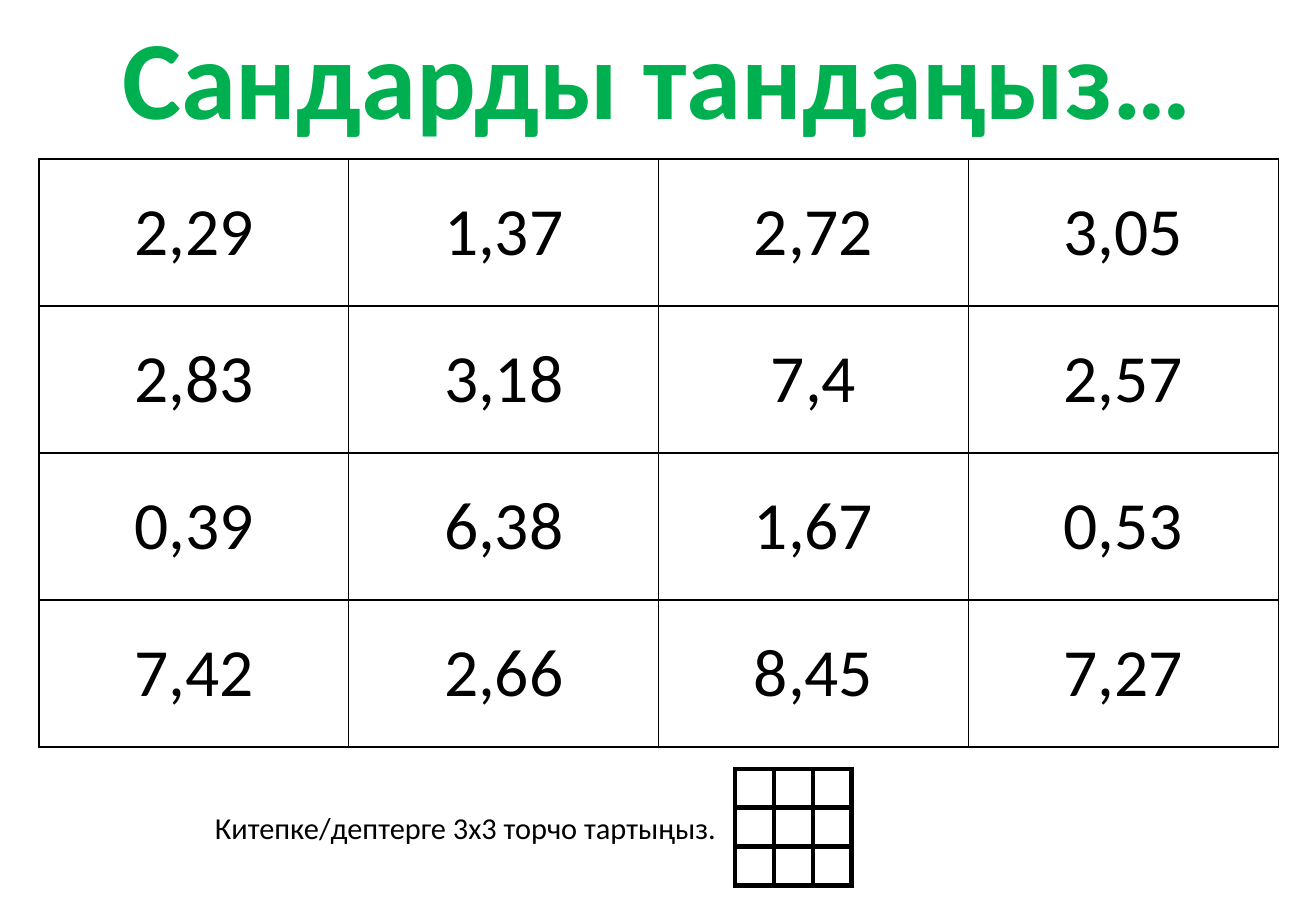
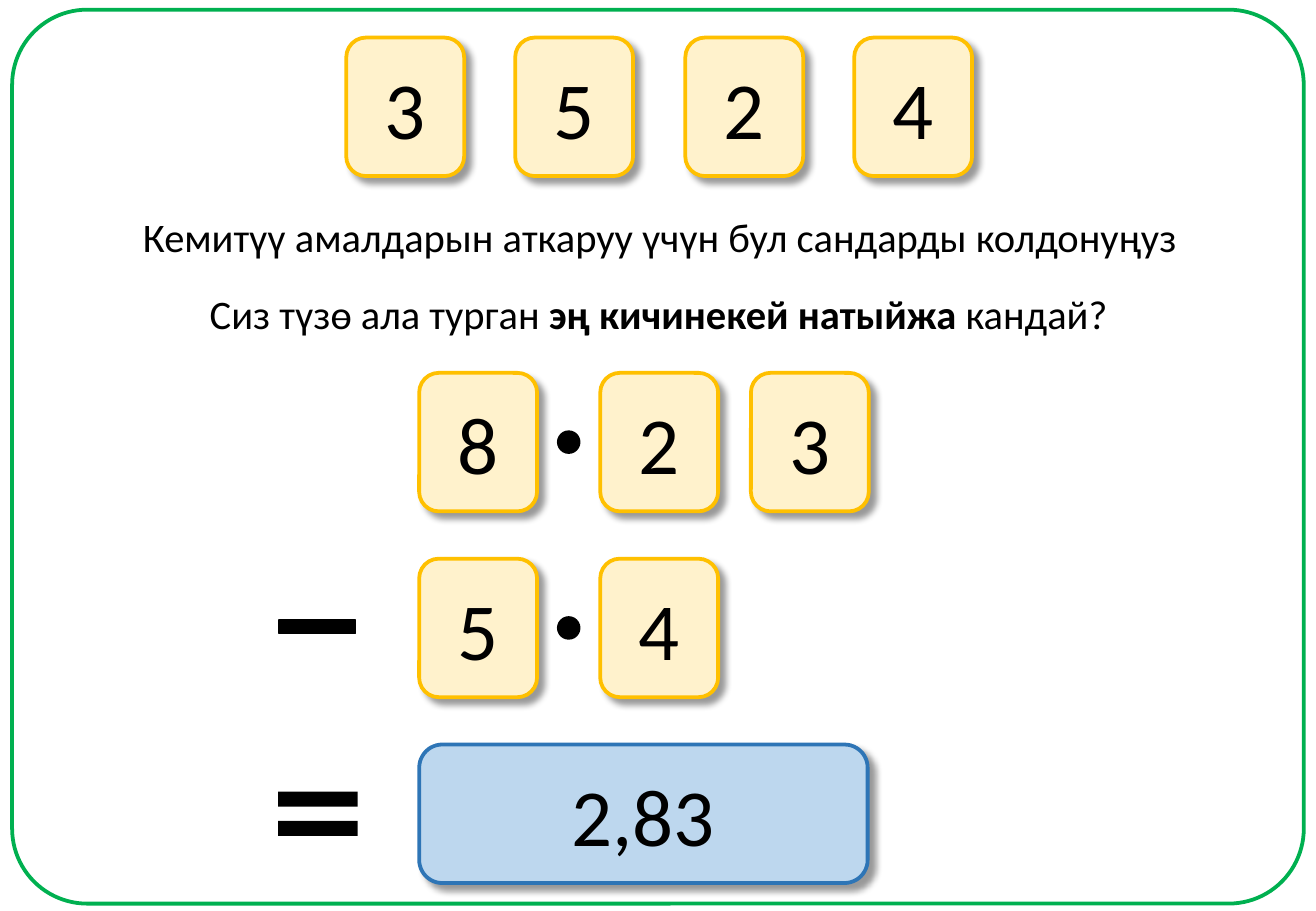
from lxml.etree import SubElement
from pptx import Presentation
from pptx.dml.color import RGBColor
from pptx.enum.shapes import MSO_SHAPE as Preset
from pptx.enum.text import MSO_ANCHOR as Anchor, MSO_AUTO_SIZE as AutoSize, PP_ALIGN as Align
from pptx.oxml.ns import qn
from pptx.util import Pt

EMU_PER_PX = 9144  # 100 px to the inch
FONT = "Calibri"
BLACK, WHITE, GREEN = "000000", "FFFFFF", "00B050"
CARD_COLORS = ("FFF2CC", "FFC000")
ANSWER_COLORS = ("BDD7EE", "2E75B6")
CARD_WIDTH, CARD_HEIGHT = 97, 114

NUMBERS = [
    ["2,29", "1,37", "2,72", "3,05"],
    ["2,83", "3,18", "7,4", "2,57"],
    ["0,39", "6,38", "1,67", "0,53"],
    ["7,42", "2,66", "8,45", "7,27"],
]


def px(*lengths):
    return [length * EMU_PER_PX for length in lengths]


def color(hex_string):
    return RGBColor.from_string(hex_string)


def add_run(paragraph, text, size, text_color=BLACK, bold=False):
    run = paragraph.add_run()
    run.text = text
    run.font.name = FONT
    run.font.size = Pt(size)
    run.font.bold = bold
    run.font.color.rgb = color(text_color)


def add_label(slide, box, runs, size, text_color=BLACK, align=Align.CENTER):
    """One line of text; runs are (text, bold) pairs."""
    frame = slide.shapes.add_textbox(*px(*box)).text_frame
    frame.word_wrap = False
    frame.auto_size = AutoSize.SHAPE_TO_FIT_TEXT
    paragraph = frame.paragraphs[0]
    paragraph.alignment = align
    for text, bold in runs:
        add_run(paragraph, text, size, text_color, bold)


def add_figure(slide, preset, box, fill=None, line=None, line_width=1, adjustments=()):
    shape = slide.shapes.add_shape(preset, *px(*box))
    shape.shadow.inherit = False
    for index, value in enumerate(adjustments):
        shape.adjustments[index] = value
    if fill:
        shape.fill.solid()
        shape.fill.fore_color.rgb = color(fill)
    else:
        shape.fill.background()
    if line:
        shape.line.color.rgb = color(line)
        shape.line.width = Pt(line_width)
    else:
        shape.line.fill.background()
    return shape


def add_drop_shadow(shape):
    effects = shape.element.spPr.find(qn("a:effectLst"))
    shadow = SubElement(effects, qn("a:outerShdw"), blurRad=str(Pt(4)), dist=str(Pt(5)),
                        dir=str(45 * 60000), algn="tl", rotWithShape="0")
    shadow_color = SubElement(shadow, qn("a:srgbClr"), val=BLACK)
    SubElement(shadow_color, qn("a:alpha"), val="40000")


def add_card(slide, left, top, text, width=CARD_WIDTH, colors=CARD_COLORS):
    box = (left, top, width, CARD_HEIGHT)
    card = add_figure(slide, Preset.ROUNDED_RECTANGLE, box, *colors, line_width=2.25)
    add_drop_shadow(card)
    frame = card.text_frame
    frame.word_wrap = True
    frame.vertical_anchor = Anchor.MIDDLE
    paragraph = frame.paragraphs[0]
    paragraph.alignment = Align.CENTER
    add_run(paragraph, text, 48)


def set_borders(cell, width):
    properties = cell._tc.get_or_add_tcPr()
    for side in ("lnL", "lnR", "lnT", "lnB"):
        border = SubElement(properties, qn("a:" + side), w=str(Pt(width)))
        fill = SubElement(border, qn("a:solidFill"))
        SubElement(fill, qn("a:srgbClr"), val=BLACK)


def add_grid(slide, left, top, cell_width, cell_height, rows, border):
    row_count, column_count = len(rows), len(rows[0])
    box = (left, top, cell_width * column_count, cell_height * row_count)
    table = slide.shapes.add_table(row_count, column_count, *px(*box)).table
    table.first_row = table.horz_banding = False
    for row, texts in enumerate(rows):
        for column, text in enumerate(texts):
            cell = table.cell(row, column)
            cell.margin_left = cell.margin_right = cell.margin_top = cell.margin_bottom = 0
            cell.vertical_anchor = Anchor.MIDDLE
            set_borders(cell, border)
            cell.fill.solid()
            cell.fill.fore_color.rgb = color(WHITE)
            if text:
                paragraph = cell.text_frame.paragraphs[0]
                paragraph.alignment = Align.CENTER
                add_run(paragraph, text, 40)


def build_number_slide(slide):
    add_grid(slide, 32, 131, 255, 121, NUMBERS, border=1)
    add_label(slide, (79, 2, 924, 121), [("Сандарды тандаңыз…", True)], 66, GREEN)
    # Instruction with a small empty grid
    add_grid(slide, 605, 633, 32, 32, [[""] * 3] * 3, border=3)
    add_label(slide, (167, 661, 438, 40),
              [("Китепке/дептерге 3х3 торчо тартыңыз.", False)], 18, align=Align.LEFT)


def build_subtraction_slide(slide):
    add_figure(slide, Preset.ROUNDED_RECTANGLE, (10, 8, 1063, 736),
               line=GREEN, line_width=2.25, adjustments=[0.084])

    # Digits to choose from
    for index, digit in enumerate("3524"):
        add_card(slide, 285 + round(index * 418 / 3), 31, digit)

    # Question
    add_label(slide, (103, 170, 880, 50),
              [("Кемитүү амалдарын аткаруу үчүн бул сандарды колдонуңуз", False)], 24)
    add_label(slide, (159, 233, 766, 50),
              [("Сиз түзө ала турган ", False), ("эң кичинекей натыйжа ", True),
               ("кандай?", False)], 24)

    # Subtraction in columns, with the answer in the third row
    first_row, row_step = 307, 153
    card_lefts = (345, 494, 618)
    for row, digits in enumerate(("823", "54")):
        top = first_row + row * row_step
        for left, digit in zip(card_lefts, digits):
            add_card(slide, left, top, digit)
        add_figure(slide, Preset.OVAL, (459, top + 48, 18, 18), BLACK, BLACK)
    add_card(slide, card_lefts[0], first_row + 2 * row_step, "2,83", 369, ANSWER_COLORS)

    # Signs
    add_figure(slide, Preset.MATH_MINUS, (218, 473, 86, 86), BLACK, BLACK, adjustments=[0.132])
    add_figure(slide, Preset.MATH_EQUAL, (217, 620, 89, 100), BLACK, adjustments=[0.123, 0.118])


def main():
    presentation = Presentation()
    presentation.slide_width, presentation.slide_height = px(1083, 750)
    blank_layout = presentation.slide_layouts[6]
    for build in (build_number_slide, build_subtraction_slide):
        build(presentation.slides.add_slide(blank_layout))
    presentation.save("out.pptx")


if __name__ == "__main__":
    main()
